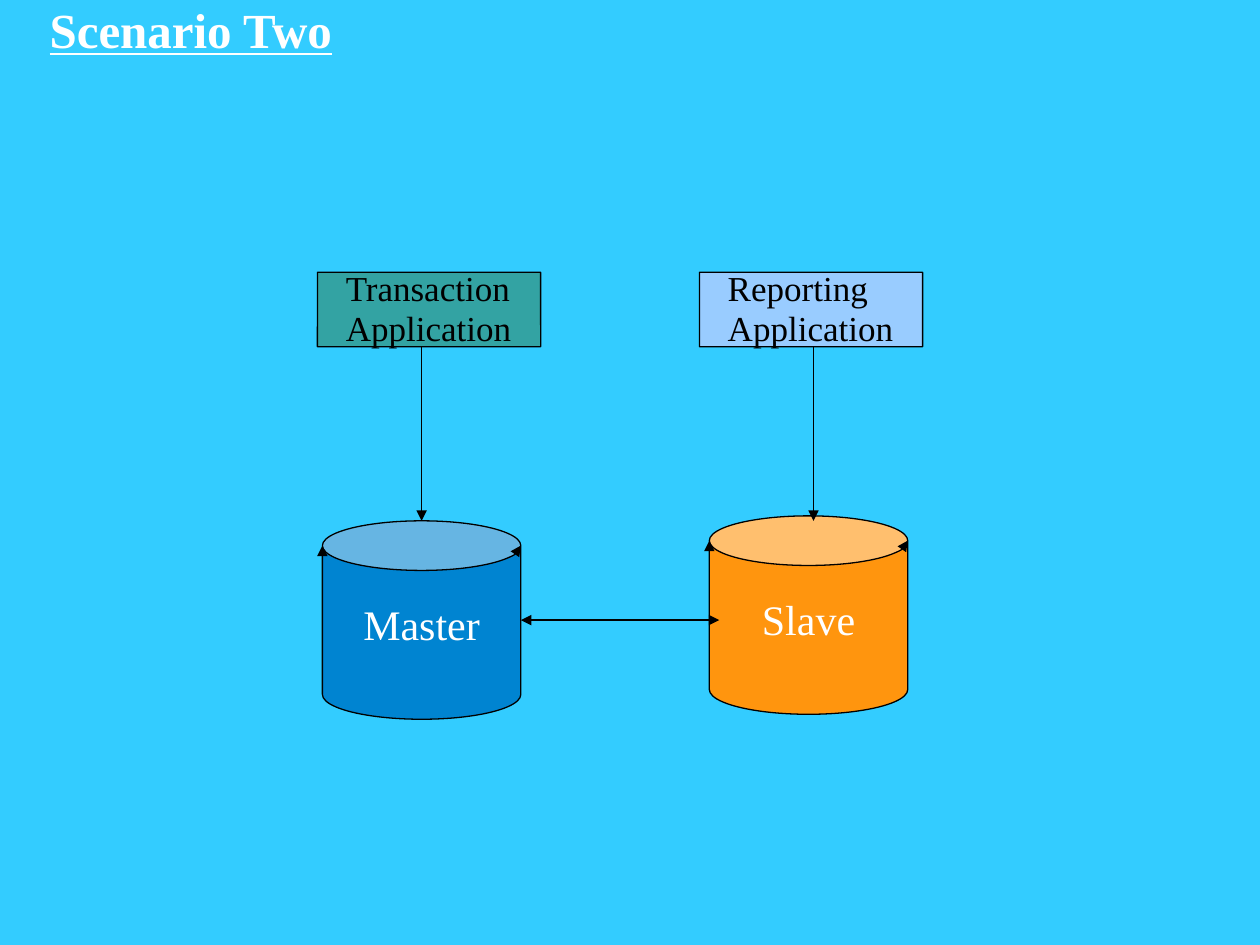
"""Build a slide of two applications, each writing to its own linked database."""
from dataclasses import dataclass

from lxml import etree
from pptx import Presentation
from pptx.dml.color import RGBColor
from pptx.enum.shapes import MSO_CONNECTOR, MSO_SHAPE
from pptx.enum.text import MSO_ANCHOR, MSO_AUTO_SIZE, PP_ALIGN
from pptx.oxml.ns import qn
from pptx.util import Cm, Pt

BOX, CAN = MSO_SHAPE.ROUNDED_RECTANGLE, MSO_SHAPE.CAN
LINE = MSO_CONNECTOR.STRAIGHT
LEFT, CENTER = PP_ALIGN.LEFT, PP_ALIGN.CENTER
MIDDLE, FIXED = MSO_ANCHOR.MIDDLE, MSO_AUTO_SIZE.NONE
FONT = "Times New Roman"
COLORS = {
    "sky": "33CCFF",
    "teal": "33A3A3",
    "pale": "99CCFF",
    "blue": "0084D1",
    "orange": "FF950E",
    "black": "000000",
    "white": "FFFFFF",
}


@dataclass
class Style:
    kind: int
    width: float
    height: float
    bend: float
    inset: float
    size: int
    ink: str
    align: int
    space: float
    wrap: bool


@dataclass
class Node:
    text: str
    left: float
    top: float
    fill: str
    style: Style


@dataclass
class Arrow:
    start: tuple[float, float]
    end: tuple[float, float]
    ends: tuple[str, ...]


APP = Style(BOX, 4.5, 1.5, 0.003, 0.57, 20, "black", LEFT, 0.95, True)
STORE = Style(CAN, 4, 4, 0.25, 0.25, 24, "white", CENTER, 0.52, False)
NODES = [
    Node("Transaction\vApplication", 6.4, 5.49, "teal", APP),
    Node("Reporting\vApplication", 14.1, 5.49, "pale", APP),
    Node("Master", 6.5, 10.5, "blue", STORE),
    Node("Slave", 14.3, 10.4, "orange", STORE),
]
BOTH = ("headEnd", "tailEnd")
ARROWS = [
    Arrow((8.5, 7), (8.5, 10.5), ("tailEnd",)),
    Arrow((16.4, 7), (16.4, 10.5), ("tailEnd",)),
    Arrow((10.5, 12.5), (14.5, 12.5), BOTH),
]


def color(name: str) -> RGBColor:
    return RGBColor.from_string(COLORS[name])


def write(shape, text: str, size: int, ink: str, align: int, space: float) -> None:
    frame = shape.text_frame
    frame.text = text
    frame.auto_size = FIXED
    frame.vertical_anchor = MIDDLE
    part = frame.paragraphs[0]
    part.alignment = align
    part.line_spacing = space
    for run in part.runs:
        run.font.name = FONT
        run.font.size = Pt(size)
        run.font.color.rgb = color(ink)


def stroke(shape, ends: tuple[str, ...]) -> None:
    shape.line.color.rgb = color("black")
    shape.line.width = Pt(0.75)
    line = shape.line._get_or_add_ln()
    for end in ends:
        etree.SubElement(line, qn(f"a:{end}"), type="triangle")


def add_title(slide) -> None:
    title = slide.shapes.title
    title.left, title.top = Cm(1), Cm(0.25)
    title.width, title.height = Cm(22.63), Cm(1.12)
    write(title, "Scenario Two", 28, "white", LEFT, 0.47)
    frame = title.text_frame
    frame.margin_left = frame.margin_right = 0
    frame.margin_top = frame.margin_bottom = 0
    font = frame.paragraphs[0].runs[0].font
    font.bold = font.underline = True


def add_node(slide, node: Node) -> None:
    style = node.style
    shape = slide.shapes.add_shape(
        style.kind, Cm(node.left), Cm(node.top), Cm(style.width), Cm(style.height)
    )
    shape.adjustments[0] = style.bend
    shape.shadow.inherit = False
    shape.fill.solid()
    shape.fill.fore_color.rgb = color(node.fill)
    stroke(shape, BOTH)
    write(shape, node.text, style.size, style.ink, style.align, style.space)
    shape.text_frame.margin_left = Cm(style.inset)
    shape.text_frame.word_wrap = style.wrap


def add_arrow(slide, arrow: Arrow) -> None:
    points = [Cm(value) for value in (*arrow.start, *arrow.end)]
    link = slide.shapes.add_connector(LINE, *points)
    stroke(link, arrow.ends)
    etree.SubElement(link._element.spPr, qn("a:effectLst"))


def main() -> None:
    deck = Presentation()
    deck.slide_width, deck.slide_height = Cm(25.4), Cm(19.05)
    slide = deck.slides.add_slide(deck.slide_layouts[5])
    slide.background.fill.solid()
    slide.background.fill.fore_color.rgb = color("sky")
    add_title(slide)
    for node in NODES:
        add_node(slide, node)
    for arrow in ARROWS:
        add_arrow(slide, arrow)
    deck.save("out.pptx")


if __name__ == "__main__":
    main()
